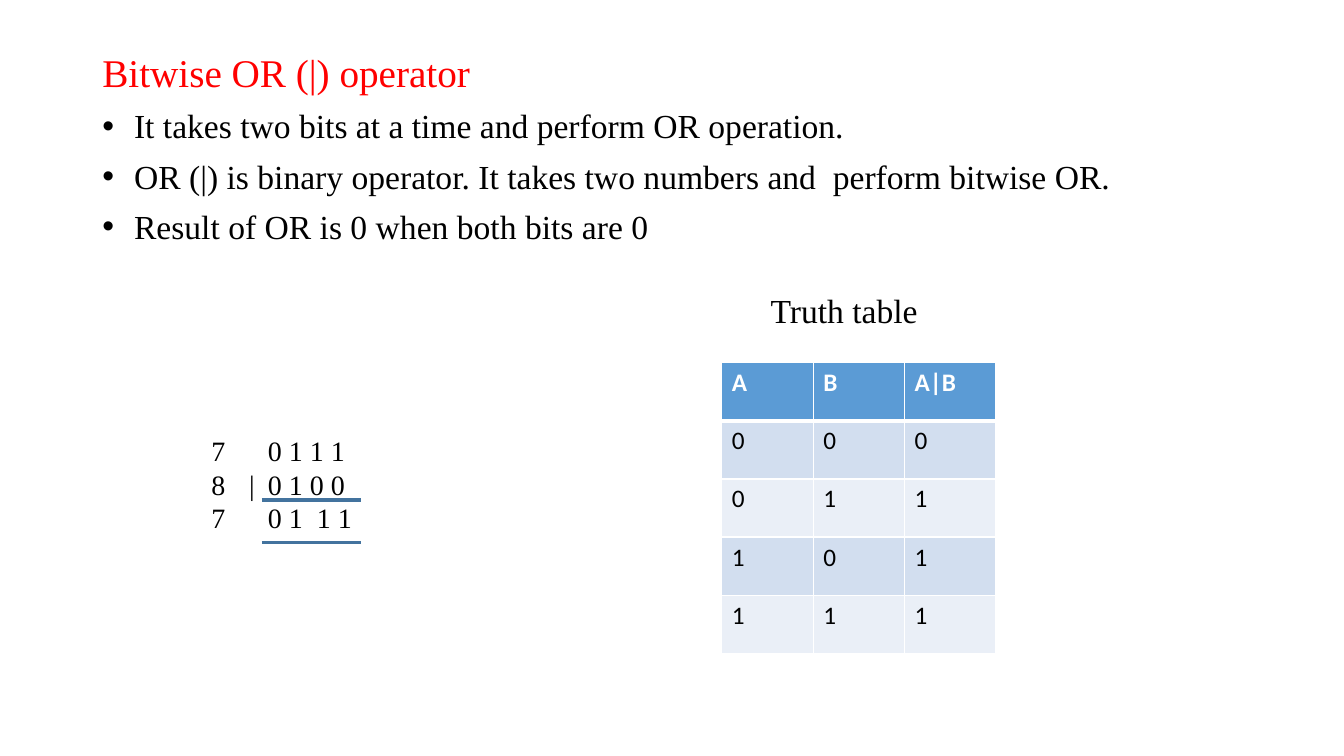
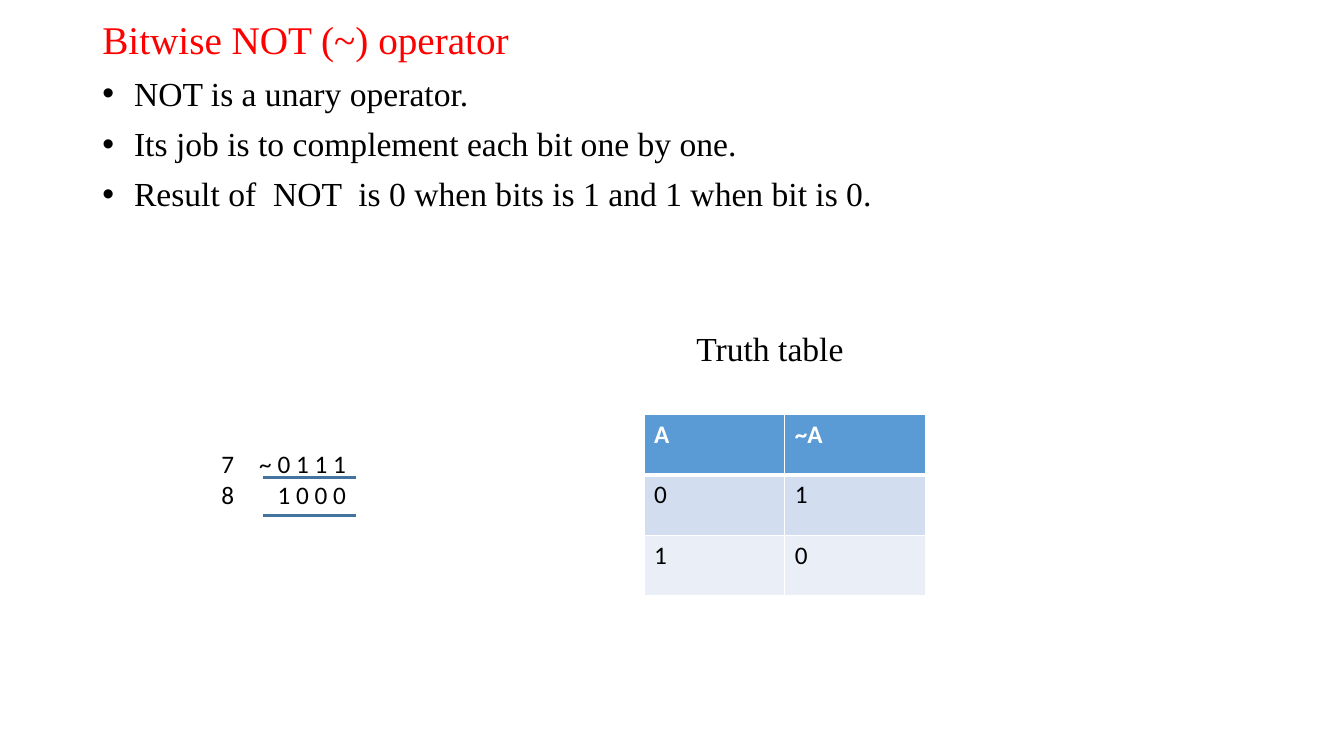
from lxml.etree import SubElement
from pptx import Presentation
from pptx.dml.color import RGBColor
from pptx.enum.shapes import MSO_CONNECTOR as Connector
from pptx.oxml.ns import qn
from pptx.util import Cm, Pt

SERIF, SANS = "Times New Roman", "Calibri"
RED, BLACK, WHITE = "FF0000", "000000", "FFFFFF"
HEADER, BANDS, RULE = "5B9BD5", ("D2DEEF", "EAEFF7"), "43739E"
CAPTION_WIDTH, CAPTION_HEIGHT = 4.95, 1.27
BULLET_INDENT = 0.8
WORKING_TABS = (0.95, 1.42)

OPERATORS = [
    {
        "title": "Bitwise OR (|) operator",
        "facts": [
            "It takes two bits at a time and perform OR operation.",
            "OR (|) is binary operator. It takes two numbers and  perform bitwise OR.",
            "Result of OR is 0 when both bits are 0",
        ],
        "intro_box": (2.33, 1.22, 29.21, 15.93),
        "truth": ["A B A|B", "0 0 0", "0 1 1", "1 0 1", "1 1 1"],
        "truth_box": (18.19, 9.14, 6.91, 7.32),
        "caption_rise": 1.96,
        "working": ["7\t\t0 1 1 1", "8\t|\t0 1 0 0", "7\t\t0 1  1 1"],
        "working_box": (5.08, 10.8, 5.33, 3.1),
        "working_font": (SERIF, 20),
        "rules": (1.52, 2.5, (1.8, 2.87)),
    },
    {
        "title": "Bitwise NOT (~) operator",
        "facts": [
            "NOT is a unary operator.",
            "Its job is to complement each bit one by one.",
            "Result of  NOT  is 0 when bits is 1 and 1 when bit is 0.",
        ],
        "intro_box": (2.33, 0.4, 29.21, 16.76),
        "truth": ["A ~A", "0 1", "1 0"],
        "truth_box": (16.23, 10.44, 7.09, 4.57),
        "caption_rise": 2.31,
        "working": ["7\t~\t0 1 1 1", "8\t\t1 0 0 0"],
        "working_box": (5.33, 11.18, 5.59, 1.8),
        "working_font": (SANS, 18),
        "rules": (1.3, 2.34, (0.86, 1.8)),
    },
]


def color(hex_code):
    return RGBColor.from_string(hex_code)


def add_run(paragraph, text, face, size, ink=BLACK, bold=False):
    run = paragraph.add_run()
    run.text = text
    run.font.name, run.font.size, run.font.bold = face, Pt(size), bold
    run.font.color.rgb = color(ink)


def add_text_frame(slide, box):
    frame = slide.shapes.add_textbox(*map(Cm, box)).text_frame
    frame.word_wrap = True
    return frame


def next_paragraph(frame, position):
    return frame.add_paragraph() if position else frame.paragraphs[0]


def add_bullet(paragraph):
    props = paragraph._p.get_or_add_pPr()
    props.set("marL", str(Cm(BULLET_INDENT)))
    props.set("indent", str(-Cm(BULLET_INDENT)))
    SubElement(props, qn("a:buFont"), typeface="Arial")
    SubElement(props, qn("a:buChar"), char="•")


def add_tabs(paragraph, stops):
    tabs = SubElement(paragraph._p.get_or_add_pPr(), qn("a:tabLst"))
    for stop in stops:
        SubElement(tabs, qn("a:tab"), pos=str(Cm(stop)), algn="l")


def add_intro(slide, box, title, facts):
    frame = add_text_frame(slide, box)
    heading = frame.paragraphs[0]
    heading.line_spacing = 0.9
    add_run(heading, title, SERIF, 28, RED)
    for fact in facts:
        paragraph = frame.add_paragraph()
        add_bullet(paragraph)
        paragraph.line_spacing = 0.9
        paragraph.space_before = Pt(10)
        add_run(paragraph, fact, SERIF, 24)


def add_borders(cell, top, bottom):
    props = cell._tc.get_or_add_tcPr()
    for side, width in (("L", 1), ("R", 1), ("T", top), ("B", bottom)):
        border = SubElement(props, qn(f"a:ln{side}"), w=str(Pt(width)))
        fill = SubElement(border, qn("a:solidFill"))
        SubElement(fill, qn("a:srgbClr"), val=WHITE)


def add_truth_table(slide, box, caption_rise, lines):
    left, top, width, height = box
    rows = [line.split() for line in lines]
    table = slide.shapes.add_table(len(rows), len(rows[0]), *map(Cm, box)).table
    for column in table.columns:
        column.width = Cm(width / len(rows[0]))
    for r, values in enumerate(rows):
        table.rows[r].height = Cm(height / len(rows))
        is_header = r == 0
        for c, value in enumerate(values):
            cell = table.cell(r, c)
            add_borders(cell, 3 if r == 1 else 1, 3 if is_header else 1)
            cell.fill.solid()
            cell.fill.fore_color.rgb = color(HEADER if is_header else BANDS[(r - 1) % 2])
            add_run(cell.text_frame.paragraphs[0], value, SANS, 18,
                    WHITE if is_header else BLACK, is_header)

    caption_left = left + (width - CAPTION_WIDTH) / 2
    caption = add_text_frame(
        slide, (caption_left, top - caption_rise, CAPTION_WIDTH, CAPTION_HEIGHT))
    add_run(caption.paragraphs[0], "Truth table", SERIF, 24)


def add_working(slide, box, steps, font, rules):
    left, top = box[:2]
    frame = add_text_frame(slide, box)
    for position, step in enumerate(steps):
        paragraph = next_paragraph(frame, position)
        add_tabs(paragraph, WORKING_TABS)
        add_run(paragraph, step, *font)
    inset, length, drops = rules
    for drop in drops:
        ends = (left + inset, top + drop, left + inset + length, top + drop)
        rule = slide.shapes.add_connector(Connector.STRAIGHT, *map(Cm, ends))
        rule.line.color.rgb = color(RULE)
        rule.line.width = Pt(2.25)
        SubElement(rule._element.spPr, qn("a:effectLst"))


def add_operator_slide(deck, operator):
    slide = deck.slides.add_slide(deck.slide_layouts[6])
    add_intro(slide, operator["intro_box"], operator["title"], operator["facts"])
    add_truth_table(slide, operator["truth_box"], operator["caption_rise"],
                    operator["truth"])
    add_working(slide, operator["working_box"], operator["working"],
                operator["working_font"], operator["rules"])


def main():
    deck = Presentation()
    deck.slide_width, deck.slide_height = Cm(33.87), Cm(19.05)
    for operator in OPERATORS:
        add_operator_slide(deck, operator)
    deck.save("out.pptx")


if __name__ == "__main__":
    main()
